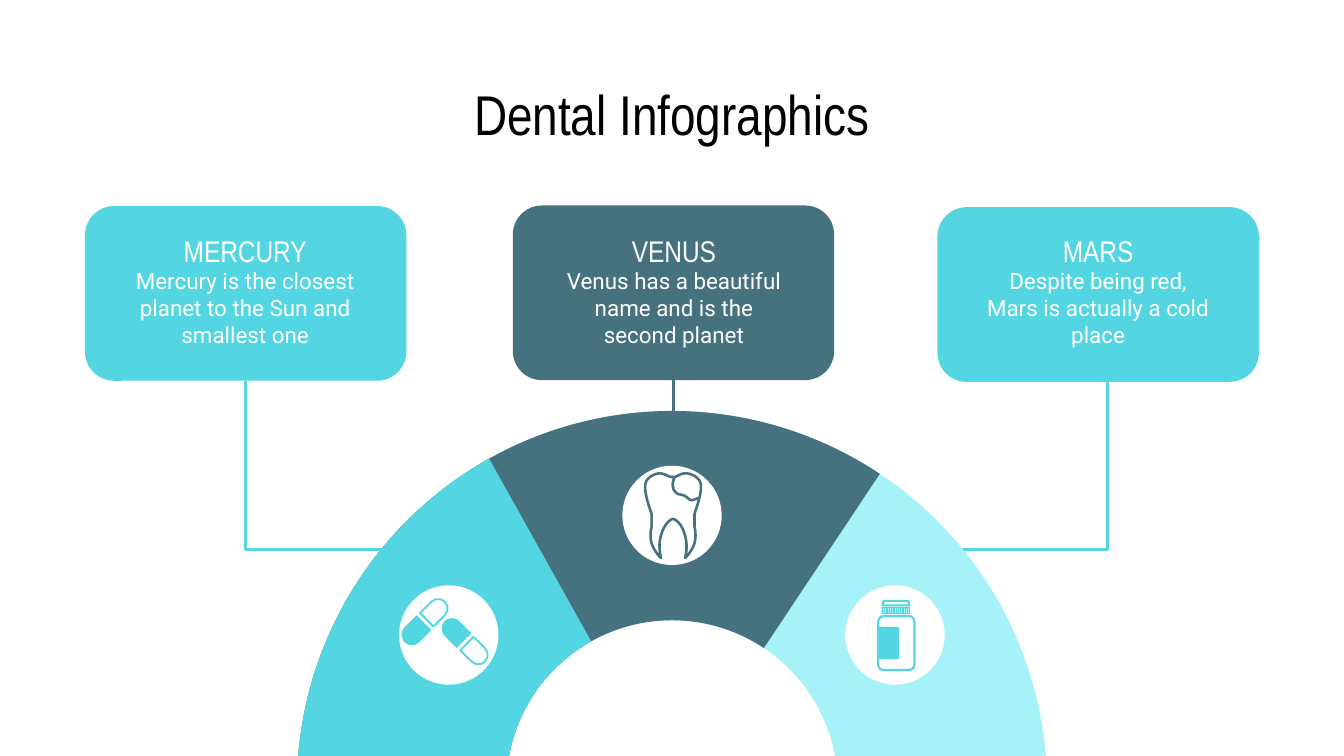
from lxml import etree
from math import cos, radians, sin
from pptx import Presentation
from pptx.dml.color import RGBColor
from pptx.enum.shapes import MSO_CONNECTOR, MSO_SHAPE
from pptx.enum.text import MSO_ANCHOR, PP_ALIGN
from pptx.oxml.ns import qn
from pptx.util import Pt

TURQUOISE = RGBColor(0x54, 0xD6, 0xE2)
SLATE = RGBColor(0x46, 0x71, 0x7F)
PALE = RGBColor(0xA7, 0xF2, 0xF8)
WHITE = RGBColor(0xFF, 0xFF, 0xFF)
BLACK = RGBColor(0, 0, 0)

HEADING_FONT, BODY_FONT = "Arial Narrow", "Roboto"
CENTER, TOP = PP_ALIGN.CENTER, MSO_ANCHOR.TOP
STRAIGHT, ELBOW = MSO_CONNECTOR.STRAIGHT, MSO_CONNECTOR.ELBOW
ROUNDED, RECTANGLE, OVAL = MSO_SHAPE.ROUNDED_RECTANGLE, MSO_SHAPE.RECTANGLE, MSO_SHAPE.OVAL
ARC, HALF_PILL = MSO_SHAPE.BLOCK_ARC, MSO_SHAPE.ROUND_2_SAME_RECTANGLE

CARD_WIDTH, CARD_HEIGHT = 172.2, 93.6

# Card left, top, colour, text left, text width, heading, body
CARDS = [
    (45.5, 110.4, TURQUOISE, 64.1, 134.6, "MERCURY",
     "Mercury is the closest planet to the Sun and smallest one"),
    (274.7, 110.1, SLATE, 292.3, 137.5, "VENUS",
     "Venus has a beautiful name and is the second planet"),
    (502.2, 111, TURQUOISE, 521, 134.6, "MARS",
     "Despite being red, Mars is actually a cold place"),
]

# Arc end angle in degrees and colour, from back to front
ARCS = [(0.5, PALE), (303.65, SLATE), (240.8, TURQUOISE)]

# Bezier points around the tooth's axis: left side from crown to root arch
TOOTH_SIDE = [
    (-7.2, 0.7), (-9.4, 1.1), (-10.8, 1.4), (-12.6, 2.9),
    (-16.9, 5.4), (-14.4, 13), (-13, 18), (-12.2, 20.2), (-11.5, 22), (-11.5, 23),
    (-11.5, 25.2), (-11.5, 27.4), (-11.5, 29.2), (-12.2, 32.4), (-12.2, 35.6), (-11.5, 38.2),
    (-10.4, 41.4), (-8.6, 43.9), (-6.5, 46.1), (-7.6, 41), (-7.6, 36.7), (-5.8, 32),
    (-4.3, 27.7), (-1.4, 25.2), (0, 25.2),
]
TOOTH_TOP = [
    (5, 0.7), (3.6, 1.4), (2.2, 2.2), (0.7, 2.9), (-0.7, 2.9), (-2.5, 2.2),
    (-4.3, 1.4), (-5.8, 0.7), (-7.2, 0.7),
]
TOOTH_FILLING = [
    (0.7, 2.9), (-1.1, 7.2), (0, 10.1), (2.2, 11.5), (2.9, 12.2), (5, 11.9), (6.5, 13),
    (7.9, 13.7), (8.6, 15.1), (10.1, 15.1), (10.8, 15.1), (12.2, 14.4), (13.7, 14),
]


def paint(shape, fill, line=None, weight=1):
    shape.shadow.inherit = False
    if fill is None:
        shape.fill.background()
    else:
        shape.fill.solid()
        shape.fill.fore_color.rgb = fill
    if line is None:
        shape.line.fill.background()
    else:
        shape.line.color.rgb = line
        shape.line.width = Pt(weight)


def add_block(slide, kind, left, top, width, height, fill, line=None,
              weight=1, adjustments=(), rotation=0):
    shape = slide.shapes.add_shape(kind, Pt(left), Pt(top), Pt(width), Pt(height))
    for index, value in enumerate(adjustments):
        shape.adjustments[index] = value
    shape.rotation = rotation
    paint(shape, fill, line, weight)
    return shape


def add_text(slide, left, top, width, height, text, size, font, color):
    box = slide.shapes.add_textbox(Pt(left), Pt(top), Pt(width), Pt(height))
    frame = box.text_frame
    frame.word_wrap = True
    frame.vertical_anchor = TOP
    frame.margin_left = frame.margin_right = Pt(7.2)
    frame.margin_top = frame.margin_bottom = Pt(7.2)
    frame.text = text
    paragraph = frame.paragraphs[0]
    paragraph.alignment = CENTER
    run = paragraph.runs[0]
    run.font.size = Pt(size)
    run.font.name = font
    run.font.color.rgb = color


def add_line(slide, kind, begin, end, color, weight=1.5):
    connector = slide.shapes.add_connector(kind, *(Pt(v) for v in (*begin, *end)))
    connector.line.color.rgb = color
    connector.line.width = Pt(weight)
    properties = connector._element.spPr
    if kind == ELBOW:  # one corner: sideways first, then up
        properties.find(qn("a:prstGeom")).set("prst", "bentConnector2")
    etree.SubElement(properties, qn("a:effectLst"))
    return connector


def flatten(points, steps=6):
    """Turn a chain of cubic Bezier points into a polyline."""
    result = [points[0]]
    for start in range(0, len(points) - 1, 3):
        curve = points[start:start + 4]
        for step in range(1, steps + 1):
            t = step / steps
            weights = ((1 - t) ** 3, 3 * t * (1 - t) ** 2, 3 * t * t * (1 - t), t ** 3)
            result.append(tuple(sum(w * p[axis] for w, p in zip(weights, curve))
                                for axis in (0, 1)))
    return result


def add_curve(slide, center_x, top, points, color, close):
    line = [(Pt(center_x + x), Pt(top + y)) for x, y in flatten(points)]
    builder = slide.shapes.build_freeform(*line[0])
    builder.add_line_segments(line[1:], close=close)
    paint(builder.convert_to_shape(), None, color, 1.4)


def add_card(slide, left, top, color, text_left, text_width, heading, body):
    card = add_block(slide, ROUNDED, left, top, CARD_WIDTH, CARD_HEIGHT, color,
                     adjustments=[0.167])
    add_text(slide, text_left, 136.1, text_width, 40.3, body, 12, BODY_FONT, WHITE)
    add_text(slide, text_left, 117.4, text_width, 23.8, heading, 16, HEADING_FONT, WHITE)
    return card


def add_tooth(slide, center_x, top):
    mirrored = [(-x, y) for x, y in reversed(TOOTH_SIDE)]
    add_curve(slide, center_x, top, TOOTH_SIDE + mirrored[1:] + TOOTH_TOP, SLATE, True)
    add_curve(slide, center_x, top, TOOTH_FILLING, SLATE, False)


def add_pill(slide, center_x, center_y, angle):
    """A solid half and an outlined half; the outlined one points along angle."""
    for turn, fill, line, inset in ((180, TURQUOISE, None, 0), (0, None, TURQUOISE, 1)):
        direction = radians(angle + turn)
        width, height = 11.2 - inset, 14.7 - inset
        add_block(slide, HALF_PILL,
                  center_x + 8.2 * sin(direction) - width / 2,
                  center_y - 8.2 * cos(direction) - height / 2,
                  width, height, fill, line, adjustments=[0.5, 0],
                  rotation=(angle + turn) % 360)


def add_bottle(slide):
    add_block(slide, ROUNDED, 470.5, 330.1, 19.4, 28.9, None, TURQUOISE, 1.2, [0.15])
    add_block(slide, RECTANGLE, 470.3, 335.8, 11.4, 17.2, TURQUOISE)
    add_block(slide, HALF_PILL, 473, 321.9, 14, 2.4, None, TURQUOISE, 1.2, [0.5, 0])
    add_block(slide, RECTANGLE, 472.3, 325.2, 15.2, 3.8, TURQUOISE)
    for index in range(12):  # ridges of the cap
        x = 473.2 + 1.22 * index
        add_line(slide, STRAIGHT, (x, 325.7), (x, 328.5), PALE, 0.1)


def main():
    presentation = Presentation()
    presentation.slide_width, presentation.slide_height = Pt(720), Pt(405)
    slide = presentation.slides.add_slide(presentation.slide_layouts[6])

    # Elbow lines behind the cards and the arch
    add_line(slide, ELBOW, (504.7, 294.3), (593.3, 190), TURQUOISE)
    add_line(slide, ELBOW, (289.4, 294.3), (131.6, 204), TURQUOISE)

    # Title and cards
    add_text(slide, 36, 35.3, 648, 45.4, "Dental Infographics", 30, HEADING_FONT, BLACK)
    cards = [add_card(slide, *card) for card in CARDS]

    # Arch
    for end_angle, color in ARCS:
        add_block(slide, ARC, 159.1, 220.2, 401.8, 401.8, color,
                  adjustments=[108, end_angle * 0.6, 0.279])

    # Icons on white discs
    for center_x, center_y in ((240.4, 340.2), (360, 276.1), (479.5, 340.2)):
        add_block(slide, OVAL, center_x - 26.6, center_y - 26.6, 53.2, 53.2, WHITE)
    add_tooth(slide, 360.6, 252.9)
    add_pill(slide, 227.7, 333, 45)
    add_pill(slide, 249.2, 343.8, 135)
    add_bottle(slide)

    # Middle card to the arch
    link = add_line(slide, STRAIGHT, (360.8, 203.7), (360.8, 240.5), SLATE)
    link.begin_connect(cards[1], 2)

    presentation.save("out.pptx")


if __name__ == "__main__":
    main()
